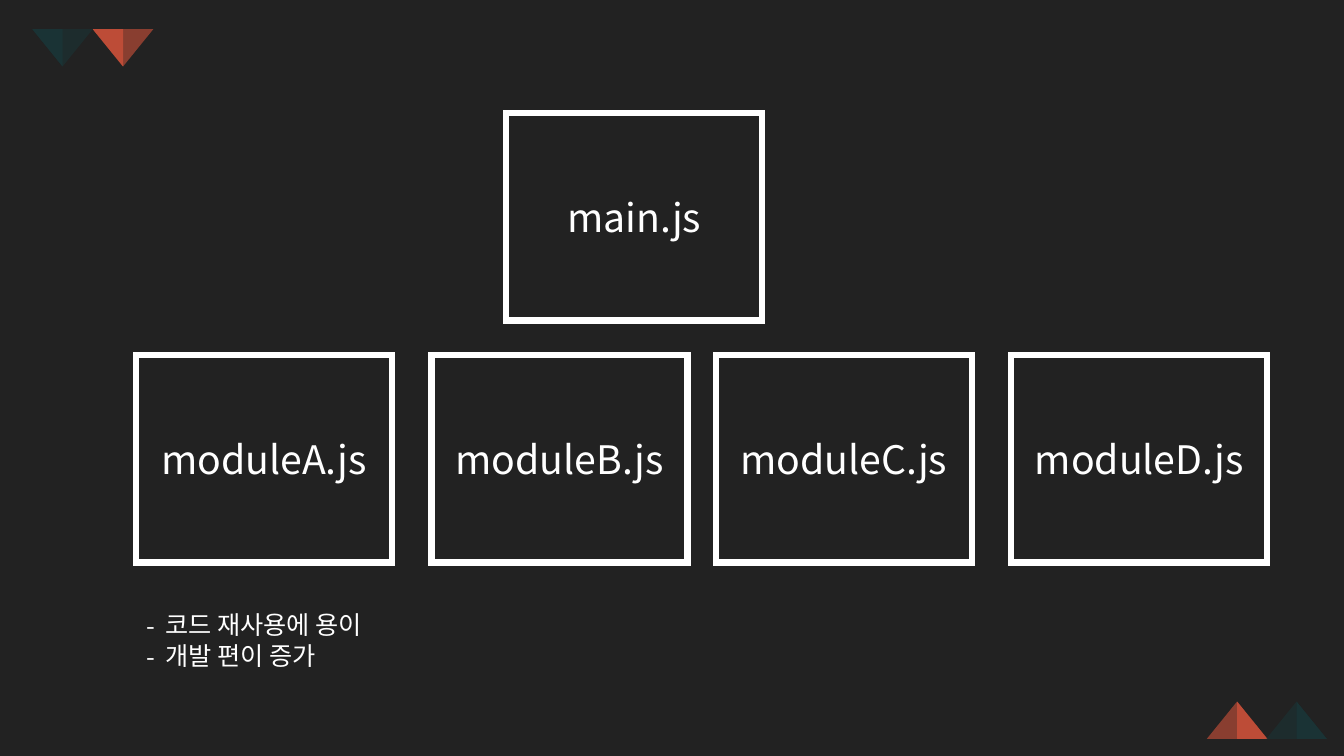
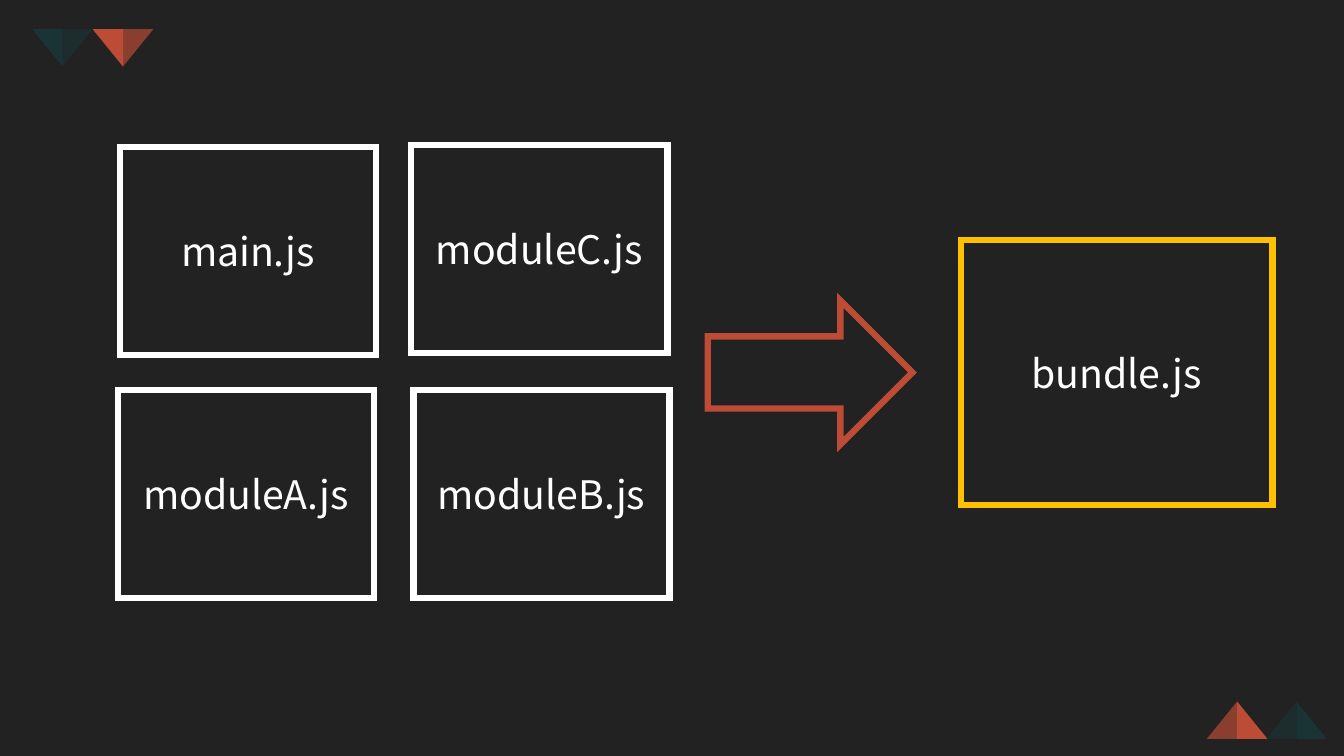
import pptx
import pptx.util
import pptx.dml.color
import pptx.enum.shapes
import pptx.enum.text
import pptx.oxml.ns
import lxml.etree

Inches, Pt = pptx.util.Inches, pptx.util.Pt
SHAPES = pptx.enum.shapes.MSO_SHAPE
qn = pptx.oxml.ns.qn

FONT = "Noto Sans CJK KR"
COLORS = {
    "background": "222222",
    "text": "FFFFFF",
    "orange": "F15A3E",
    "teal": "193739",
    "arrow": "BD4B36",
    "bundle": "FFC000",
}
MODULE_SIZE = (2.54, 2.06)
MODULES = [
    ("moduleA.js", 1.35, 3.52),
    ("moduleB.js", 4.28, 3.52),
    ("moduleC.js", 7.1, 3.52),
    ("moduleD.js", 10.03, 3.52),
    ("main.js", 5.02, 1.12),
]
BENEFITS = ["코드 재사용에 용이", "개발 편이 증가"]
BENEFITS_AREA = (1.35, 5.99, 2.59, 0.71)
SOURCES = [
    ("moduleA.js", 1.17, 3.87),
    ("moduleB.js", 4.1, 3.87),
    ("moduleC.js", 4.08, 1.44),
    ("main.js", 1.19, 1.46),
]
ARROW_AREA = (7.02, 2.98, 2.03, 1.43)
BUNDLE = ("bundle.js", (9.53, 2.38, 3.09, 2.63))

TRIANGLE_WIDTH, TRIANGLE_HEIGHT = 0.6, 0.37
TRIANGLES = [
    ("orange", 50, 0.92, 0.29, 180),
    ("teal", 70, 0.32, 0.29, 180),
    ("orange", 50, 11.97, 6.96, 0),
    ("teal", 70, 12.56, 6.96, 0),
]


def rgb(name):
    return pptx.dml.color.RGBColor.from_string(COLORS[name])


def add_preset(slide, kind, area):
    shape = slide.shapes.add_shape(kind, *map(Inches, area))
    shape.shadow.inherit = False
    return shape


def add_outline(slide, kind, area, color):
    outline = add_preset(slide, kind, area)
    outline.fill.background()
    outline.line.color.rgb = rgb(color)
    outline.line.width = Pt(4.5)
    stroke = outline.element.spPr.find(qn("a:ln"))
    lxml.etree.SubElement(stroke, qn("a:miter"), lim="800000")
    return outline


def add_text(paragraph, text, size):
    run = paragraph.add_run()
    run.text = text
    run.font.size = Pt(size)
    run.font.name = FONT
    run.font.color.rgb = rgb("text")
    lxml.etree.SubElement(run.font._element, qn("a:ea"), typeface=FONT)


def add_file(slide, name, area, color="text"):
    frame = add_outline(slide, SHAPES.RECTANGLE, area, color).text_frame
    frame.vertical_anchor = pptx.enum.text.MSO_ANCHOR.MIDDLE
    frame.paragraphs[0].alignment = pptx.enum.text.PP_ALIGN.CENTER
    add_text(frame.paragraphs[0], name, 28)


def add_files(slide, files):
    for name, left, top in files:
        add_file(slide, name, (left, top, *MODULE_SIZE))


def add_facet(slide, kind, area, color, opacity, rotation):
    facet = add_preset(slide, kind, area)
    facet.rotation = rotation
    facet.fill.solid()
    facet.fill.fore_color.rgb = rgb(color)
    facet.line.fill.background()
    tint = facet.element.spPr.find(qn("a:solidFill"))[0]
    lxml.etree.SubElement(tint, qn("a:alpha"), val=str(opacity * 1000))
    return facet


def decorate_master(master, slide):
    master.background.fill.solid()
    master.background.fill.fore_color.rgb = rgb("background")
    half = TRIANGLE_WIDTH / 2
    facets = []
    for color, opacity, left, top, rotation in TRIANGLES:
        half_left = left if rotation else left + half
        for kind, x, width, strength in [
            (SHAPES.ISOSCELES_TRIANGLE, left, TRIANGLE_WIDTH, 50),
            (SHAPES.RIGHT_TRIANGLE, half_left, half, opacity),
        ]:
            area = (x, top, width, TRIANGLE_HEIGHT)
            facets.append(add_facet(slide, kind, area, color, strength, rotation))
    for number, facet in enumerate(facets, start=101):
        facet.element.nvSpPr.cNvPr.set("id", str(number))
        master.element.cSld.spTree.append(facet.element)


def fill_benefits(body):
    body.left, body.top, body.width, body.height = map(Inches, BENEFITS_AREA)
    frame = body.text_frame
    frame.word_wrap = False
    frame.auto_size = pptx.enum.text.MSO_AUTO_SIZE.NONE
    for index, benefit in enumerate(BENEFITS):
        paragraph = frame.add_paragraph() if index else frame.paragraphs[0]
        paragraph.space_before = Pt(0)
        paragraph.line_spacing = Pt(22)
        add_text(paragraph, benefit, 18)
        layout = paragraph._p.get_or_add_pPr()
        layout.set("marL", str(Inches(0.19)))
        layout.set("indent", str(-Inches(0.19)))
        lxml.etree.SubElement(layout, qn("a:buFont"), typeface=FONT)
        lxml.etree.SubElement(layout, qn("a:buChar"), char="-")


deck = pptx.Presentation()
deck.slide_width, deck.slide_height = Inches(13.33), Inches(7.5)

modules_slide = deck.slides.add_slide(deck.slide_layouts[1])
decorate_master(deck.slide_master, modules_slide)
title = modules_slide.shapes.title.element
title.getparent().remove(title)
add_files(modules_slide, MODULES)
fill_benefits(modules_slide.placeholders[1])

bundle_slide = deck.slides.add_slide(deck.slide_layouts[6])
add_files(bundle_slide, SOURCES)
add_outline(bundle_slide, SHAPES.RIGHT_ARROW, ARROW_AREA, "arrow")
add_file(bundle_slide, *BUNDLE, "bundle")

deck.save("out.pptx")
